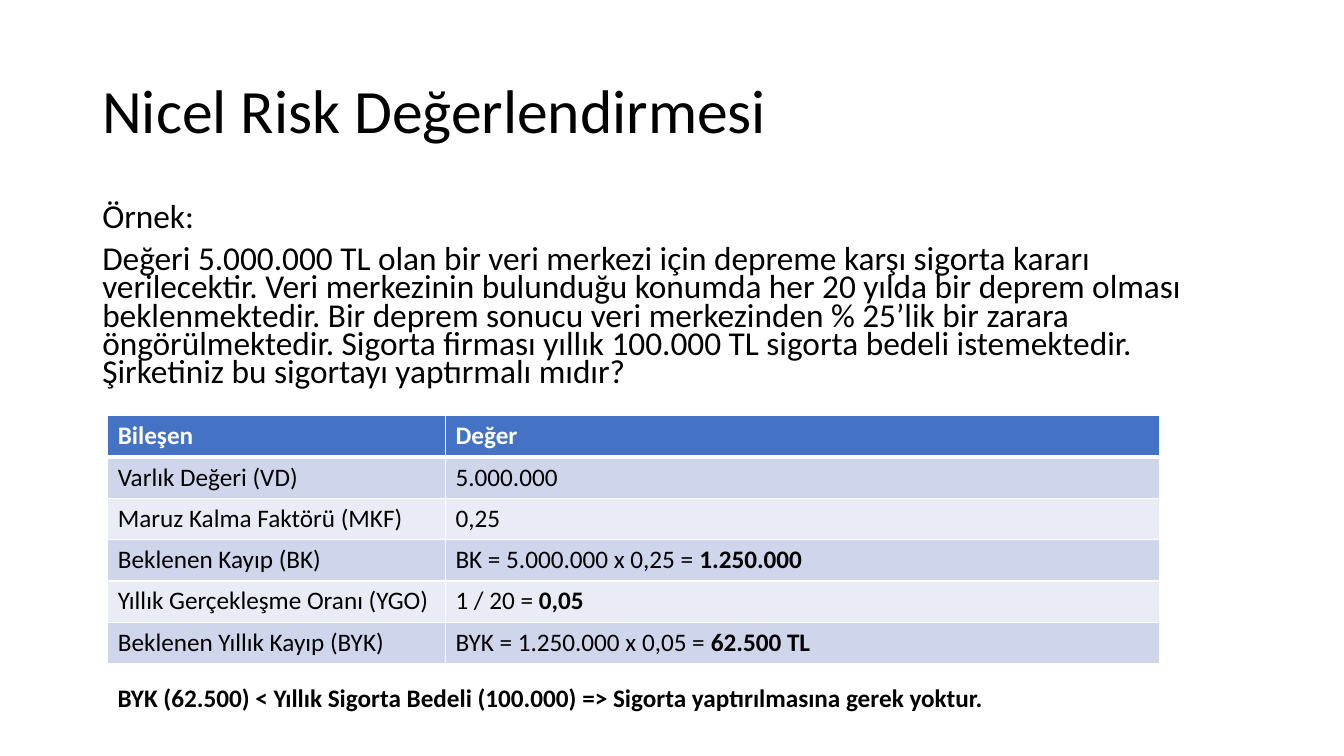
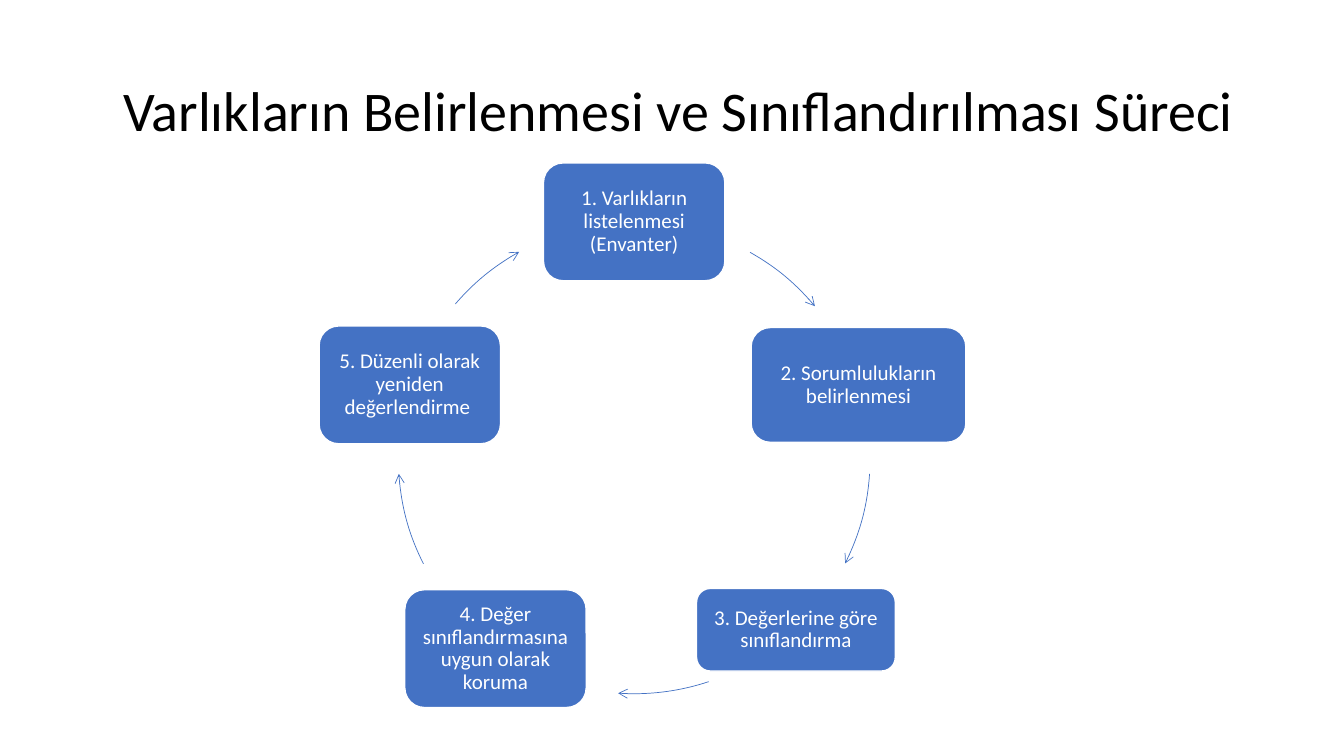
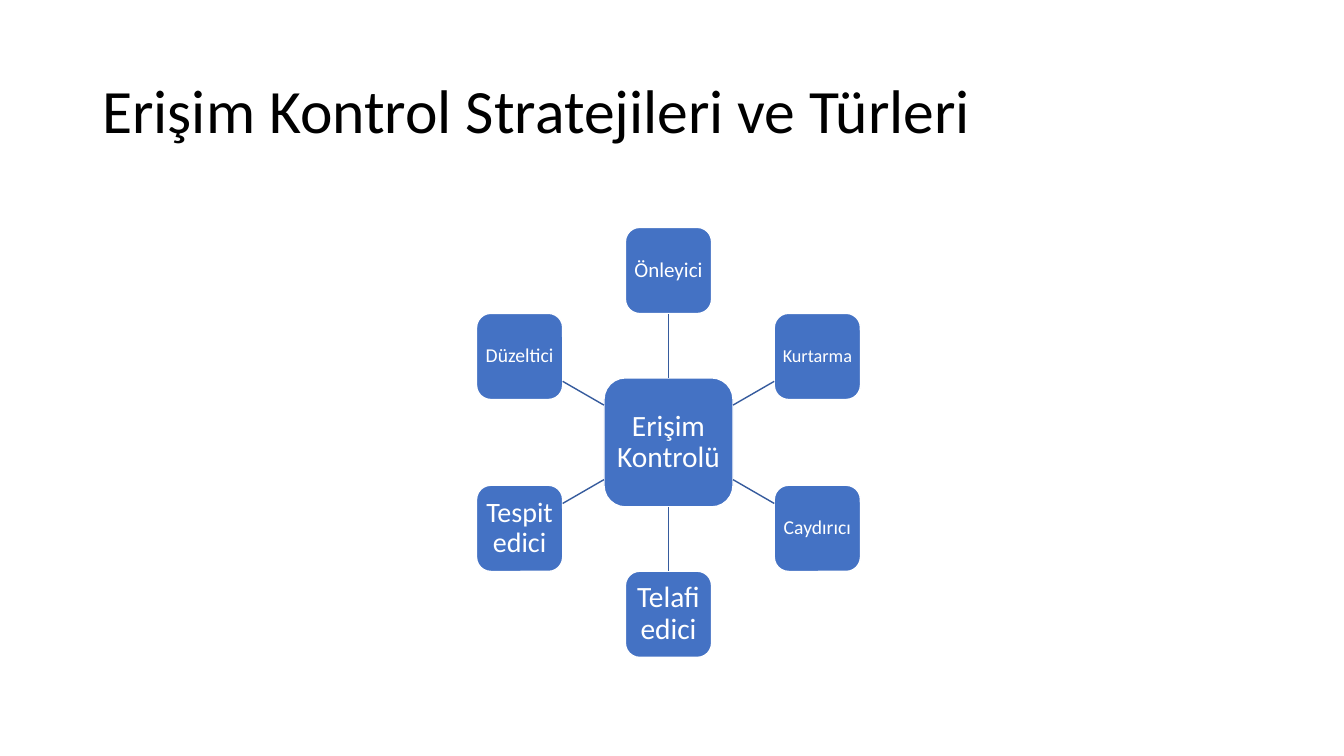
from dataclasses import dataclass
from math import cos, radians, sin

from lxml.etree import SubElement
from pptx import Presentation
from pptx.dml.color import RGBColor
from pptx.enum.shapes import MSO_CONNECTOR, MSO_SHAPE
from pptx.enum.text import MSO_ANCHOR, PP_ALIGN
from pptx.oxml.ns import qn
from pptx.shapes.autoshape import Shape
from pptx.slide import Slide
from pptx.table import _Cell
from pptx.text.text import TextFrame, _Paragraph
from pptx.util import Emu, Pt

COLS, ROWS = 96, 54
UNIT = 127000  # one square grid cell, in EMU


@dataclass(frozen=True)
class Theme:
    font: str = "Calibri"
    ink: str = "000000"
    paper: str = "FFFFFF"
    blue: str = "4472C4"
    spoke: str = "365B9D"
    bands: tuple[str, str] = ("CFD5EA", "E9EBF5")
    title: float = 44
    body: float = 23.8
    table: float = 18
    step: float = 15
    hub: float = 21


@dataclass(frozen=True)
class Box:
    """A rectangle in grid columns and rows."""
    x: float
    y: float
    w: float
    h: float

    def emu(self) -> tuple[Emu, Emu, Emu, Emu]:
        return grid(self.x), grid(self.y), grid(self.w), grid(self.h)


@dataclass(frozen=True)
class Step:
    text: str
    start: float  # arc after the step, in degrees
    end: float
    w: float = 12.96
    h: float = 8.42
    dx: float = 0
    dy: float = 0


@dataclass(frozen=True)
class Kind:
    text: str
    size: float


THEME = Theme()
HEAD = Box(6.6, 2.88, 82.8, 10.44)

TASK = (
    "Örnek:",
    "Değeri 5.000.000 TL olan bir veri merkezi için depreme karşı sigorta kararı "
    "verilecektir. Veri merkezinin bulunduğu konumda her 20 yılda bir deprem olması "
    "beklenmektedir. Bir deprem sonucu veri merkezinden % 25’lik bir zarara "
    "öngörülmektedir. Sigorta firması yıllık 100.000 TL sigorta bedeli istemektedir. "
    "Şirketiniz bu sigortayı yaptırmalı mıdır?",
)
NOTE = ("BYK (62.500) < Yıllık Sigorta Bedeli (100.000) => "
        "Sigorta yaptırılmasına gerek yoktur.")
# Name, value, and the bold end of the value
COSTS = (
    ("Bileşen", "Değer", ""),
    ("Varlık Değeri (VD)", "5.000.000", ""),
    ("Maruz Kalma Faktörü (MKF)", "0,25", ""),
    ("Beklenen Kayıp (BK)", "BK = 5.000.000 x 0,25 = ", "1.250.000"),
    ("Yıllık Gerçekleşme Oranı (YGO)", "1 / 20 = ", "0,05"),
    ("Beklenen Yıllık Kayıp (BYK)", "BYK = 1.250.000 x 0,05 = ", "62.500 TL"),
)
STEPS = (
    Step("1. Varlıkların listelenmesi (Envanter)", 299.4, 320),
    Step("2. Sorumlulukların belirlenmesi", 3.9, 26.6, 15.34, 8.2),
    Step("3. Değerlerine göre sınıflandırma", 71.6, 93.9, 14.2, 5.9, 1.65, -1.35),
    Step("4. Değer sınıflandırmasına uygun olarak koruma", 153.3, 176.1),
    Step("5. Düzenli olarak yeniden değerlendirme ", 220.7, 240.8),
)
KINDS = (
    Kind("Önleyici", 15),
    Kind("Kurtarma", 13),
    Kind("Caydırıcı", 14),
    Kind("Telafi edici", 21),
    Kind("Tespit edici", 20),
    Kind("Düzeltici", 14),
)


def grid(n: float) -> Emu:
    return Emu(round(n * UNIT))


def rgb(code: str) -> RGBColor:
    return RGBColor.from_string(code)


def style(para: _Paragraph, size: float, color: str, bold: bool = False) -> None:
    for run in para.runs:
        font = run.font
        font.name, font.size, font.bold = THEME.font, Pt(size), bold
        font.color.rgb = rgb(color)


def write(slide: Slide, box: Box, lines: tuple[str, ...], size: float,
          bold: bool = False) -> TextFrame:
    frame = slide.shapes.add_textbox(*box.emu()).text_frame
    frame.word_wrap = True
    frame.text = "\n".join(lines)
    for para in frame.paragraphs:
        style(para, size, THEME.ink, bold)
    return frame


def head(slide: Slide, text: str, box: Box = HEAD, size: float = THEME.title) -> None:
    frame = write(slide, box, (text,), size)
    frame.vertical_anchor = MSO_ANCHOR.MIDDLE
    frame.paragraphs[0].line_spacing = 0.9


def tile(slide: Slide, x: float, y: float, w: float, h: float, text: str,
         size: float, inset: float) -> Shape:
    """Draw a rounded blue box centred on x, y."""
    box = Box(x - w / 2, y - h / 2, w, h)
    shape = slide.shapes.add_shape(MSO_SHAPE.ROUNDED_RECTANGLE, *box.emu())
    shape.shadow.inherit = False
    shape.fill.solid()
    shape.fill.fore_color.rgb = rgb(THEME.blue)
    shape.line.color.rgb = rgb(THEME.paper)
    shape.line.width = Pt(1)
    frame = shape.text_frame
    frame.text = text
    frame.word_wrap = True
    frame.vertical_anchor = MSO_ANCHOR.MIDDLE
    frame.margin_left = frame.margin_right = Pt(inset)
    frame.margin_top = frame.margin_bottom = Pt(inset)
    para = frame.paragraphs[0]
    para.alignment, para.line_spacing = PP_ALIGN.CENTER, 0.9
    style(para, size, THEME.paper)
    return shape


def polar(x: float, y: float, r: float, turn: float) -> tuple[float, float]:
    return x + r * cos(radians(turn)), y + r * sin(radians(turn))


def arc(slide: Slide, x: float, y: float, r: float, start: float, end: float) -> None:
    """Draw a clockwise arrow along a circle."""
    box = Box(x - r, y - r, 2 * r, 2 * r)
    shape = slide.shapes.add_shape(MSO_SHAPE.ARC, *box.emu())
    shape.shadow.inherit = False
    shape.fill.background()
    shape.line.color.rgb = rgb(THEME.blue)
    shape.line.width = Pt(0.5)
    for i, turn in enumerate((start, end)):
        shape.adjustments[i] = turn * 0.6  # 60000ths of a degree over 100000
    SubElement(shape._element.spPr.find(qn("a:ln")), qn("a:tailEnd"), type="arrow")


def edge(cell: _Cell, side: str, width: float) -> None:
    line = SubElement(cell._tc.get_or_add_tcPr(), qn(f"a:ln{side}"), w=str(Pt(width)))
    fill = SubElement(line, qn("a:solidFill"))
    SubElement(fill, qn("a:srgbClr"), val=THEME.paper)


def costs(slide: Slide, x: float, y: float, wide: tuple[float, ...], high: float) -> None:
    box = Box(x, y, sum(wide), high * len(COSTS))
    table = slide.shapes.add_table(len(COSTS), len(wide), *box.emu()).table
    for col, w in zip(table.columns, wide):
        col.width = grid(w)
    for r, (name, value, total) in enumerate(COSTS):
        top = r == 0
        for c, text in enumerate((name, value)):
            cell = table.cell(r, c)
            for side in "LRTB":
                thick = (r, side) in ((0, "B"), (1, "T"))
                edge(cell, side, 3 if thick else 1)
            cell.fill.solid()
            cell.fill.fore_color.rgb = rgb(THEME.blue if top else THEME.bands[(r - 1) % 2])
            para = cell.text_frame.paragraphs[0]
            para.text = text
            if c and total:
                para.add_run().text = total
            style(para, THEME.table, THEME.paper if top else THEME.ink, top)
            if c and total:
                para.runs[-1].font.bold = True


def risk(slide: Slide) -> None:
    head(slide, "Nicel Risk Değerlendirmesi")
    frame = write(slide, Box(6.6, 14.4, 81.4, 14.04), TASK, THEME.body)
    for para in frame.paragraphs:
        para.line_spacing, para.space_before = 0.7, Pt(10)
    costs(slide, 7.7, 29.7, (24.12, 50.98), 2.95)
    write(slide, Box(7.7, 48.4, 67.5, 2.9), (NOTE,), THEME.table, True)


def cycle(slide: Slide) -> None:
    head(slide, "Varlıkların Belirlenmesi ve Sınıflandırılması Süreci",
         Box(8.1, HEAD.y, 81.4, HEAD.h), 40)
    x, y, r = 45.3, 32.7, 16.85
    for i, step in enumerate(STEPS):
        px, py = polar(x, y, r, i * 360 / len(STEPS) - 90)
        tile(slide, px + step.dx, py + step.dy, step.w, step.h, step.text, THEME.step, 4)
        arc(slide, x, y, r, step.start, step.end)


def spoke(slide: Slide, hub: Shape, leaf: Shape, turn: float,
          ends: tuple[float, float, float, float]) -> None:
    line = slide.shapes.add_connector(MSO_CONNECTOR.STRAIGHT, *map(grid, ends))
    line.line.color.rgb = rgb(THEME.spoke)
    line.line.width = Pt(1)
    SubElement(line._element.spPr, qn("a:effectLst"))
    if turn % 180 == 90:
        up = turn < 0
        line.begin_connect(hub, 0 if up else 2)
        line.end_connect(leaf, 2 if up else 0)


def star(slide: Slide) -> None:
    head(slide, "Erişim Kontrol Stratejileri ve Türleri")
    x, y, r, core, side = 47.75, 31.6, 12.28, 9.22, 6.16
    hub = tile(slide, x, y, core, core, "Erişim Kontrolü", THEME.hub, 3)
    for i, kind in enumerate(KINDS):
        turn = i * 360 / len(KINDS) - 90
        leaf = tile(slide, *polar(x, y, r, turn), side, side, kind.text, kind.size, 2)
        # Distance from a unit square's centre to its edge in this direction
        half = 0.5 / max(abs(cos(radians(turn))), abs(sin(radians(turn))))
        ends = (*polar(x, y, core * half, turn), *polar(x, y, r - side * half, turn))
        spoke(slide, hub, leaf, turn, ends)


def main() -> None:
    deck = Presentation()
    deck.slide_width, deck.slide_height = grid(COLS), grid(ROWS)
    for draw in (risk, cycle, star):
        draw(deck.slides.add_slide(deck.slide_layouts[6]))
    deck.save("out.pptx")


if __name__ == "__main__":
    main()
